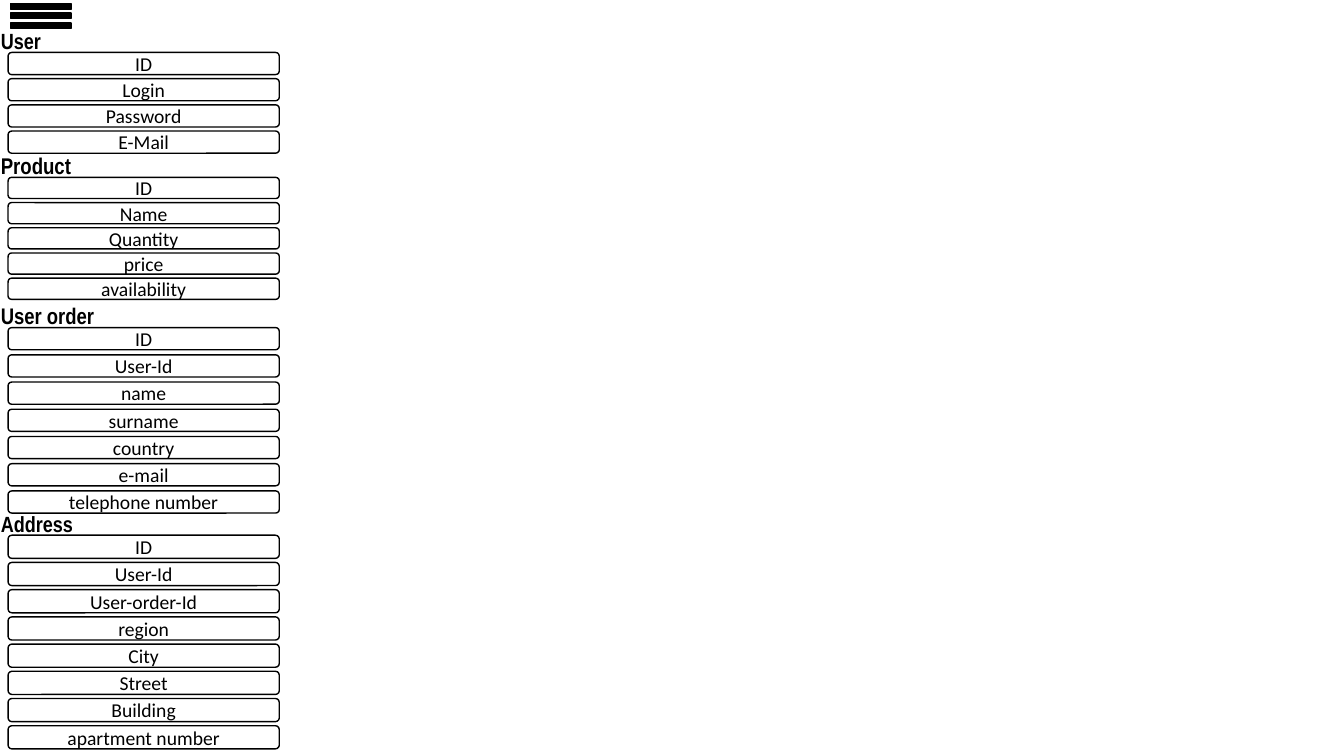
from pptx import Presentation
from pptx.dml.color import RGBColor
from pptx.enum.shapes import MSO_SHAPE
from pptx.enum.text import MSO_ANCHOR, PP_ALIGN
from pptx.util import Inches, Pt

COLOURS = {"ink": "000000", "paper": "FFFFFF"}

# Heading, its box (top, width, height), text size and line spacing,
# then first row top, row pitch, row height and the field names
ENTITIES = [
    ("User", (0.3, 2.8, 0.53), 15.7, 0.7, (0.52, 0.26, 0.22),
     ["ID", "Login", "Password", "E-Mail"]),
    ("Product", (1.49, 0.9, 0.26), 16.2, 0.9, (1.76, 0.25, 0.21),
     ["ID", "Name", "Quantity", "price", "availability"]),
    ("User order", (3.02, 1.96, 0.42), 16.1, 0.7, (3.25, 0.27, 0.22),
     ["ID", "User-Id", "name", "surname", "country", "e-mail",
      "telephone number"]),
    ("Address", (5.09, 2.43, 0.51), 15.7, 0.7, (5.31, 0.27, 0.23),
     ["ID", "User-Id", "User-order-Id", "region", "City", "Street",
      "Building", "apartment number"]),
]
HEADING_LEFT = -0.09
FIELD_LEFT, FIELD_WIDTH = 0.08, 2.69
MENU_BAR_TOPS = [-0.05, 0.04, 0.14]


def colour(name):
    return RGBColor.from_string(COLOURS[name])


def add_run(paragraph, text, font, size, bold=False):
    run = paragraph.add_run()
    run.text = text
    run.font.name = font
    run.font.size = Pt(size)
    run.font.bold = bold
    run.font.color.rgb = colour("ink")


def add_box(slide, preset, left, top, width, height, fill):
    shape = slide.shapes.add_shape(
        preset, Inches(left), Inches(top), Inches(width), Inches(height))
    shape.shadow.inherit = False
    shape.fill.solid()
    shape.fill.fore_color.rgb = colour(fill)
    shape.line.color.rgb = colour("ink")
    shape.line.width = Pt(1)
    return shape


def add_heading(slide, text, box, size, spacing):
    top, width, height = box
    heading = slide.shapes.add_textbox(
        Inches(HEADING_LEFT), Inches(top), Inches(width), Inches(height))
    heading.text_frame.word_wrap = True
    paragraph = heading.text_frame.paragraphs[0]
    paragraph.line_spacing = spacing
    add_run(paragraph, text, "Arial Narrow", size, bold=True)


def add_field(slide, text, top, height):
    field = add_box(slide, MSO_SHAPE.ROUNDED_RECTANGLE,
                    FIELD_LEFT, top, FIELD_WIDTH, height, "paper")
    frame = field.text_frame
    frame.word_wrap = True
    frame.margin_top = frame.margin_bottom = 0
    frame.vertical_anchor = MSO_ANCHOR.MIDDLE
    paragraph = frame.paragraphs[0]
    paragraph.alignment = PP_ALIGN.CENTER
    add_run(paragraph, text, "Calibri", 14)


def main():
    presentation = Presentation()
    presentation.slide_width = Inches(13.33)
    presentation.slide_height = Inches(7.5)
    slide = presentation.slides.add_slide(presentation.slide_layouts[6])

    # Menu icon
    for top in MENU_BAR_TOPS:
        add_box(slide, MSO_SHAPE.MATH_MINUS, 0, top, 0.81, 0.23, "ink")

    # Entities with their fields
    for heading, box, size, spacing, rows, fields in ENTITIES:
        add_heading(slide, heading, box, size, spacing)
        first_top, pitch, height = rows
        for index, field in enumerate(fields):
            add_field(slide, field, first_top + index * pitch, height)

    presentation.save("out.pptx")


if __name__ == "__main__":
    main()
